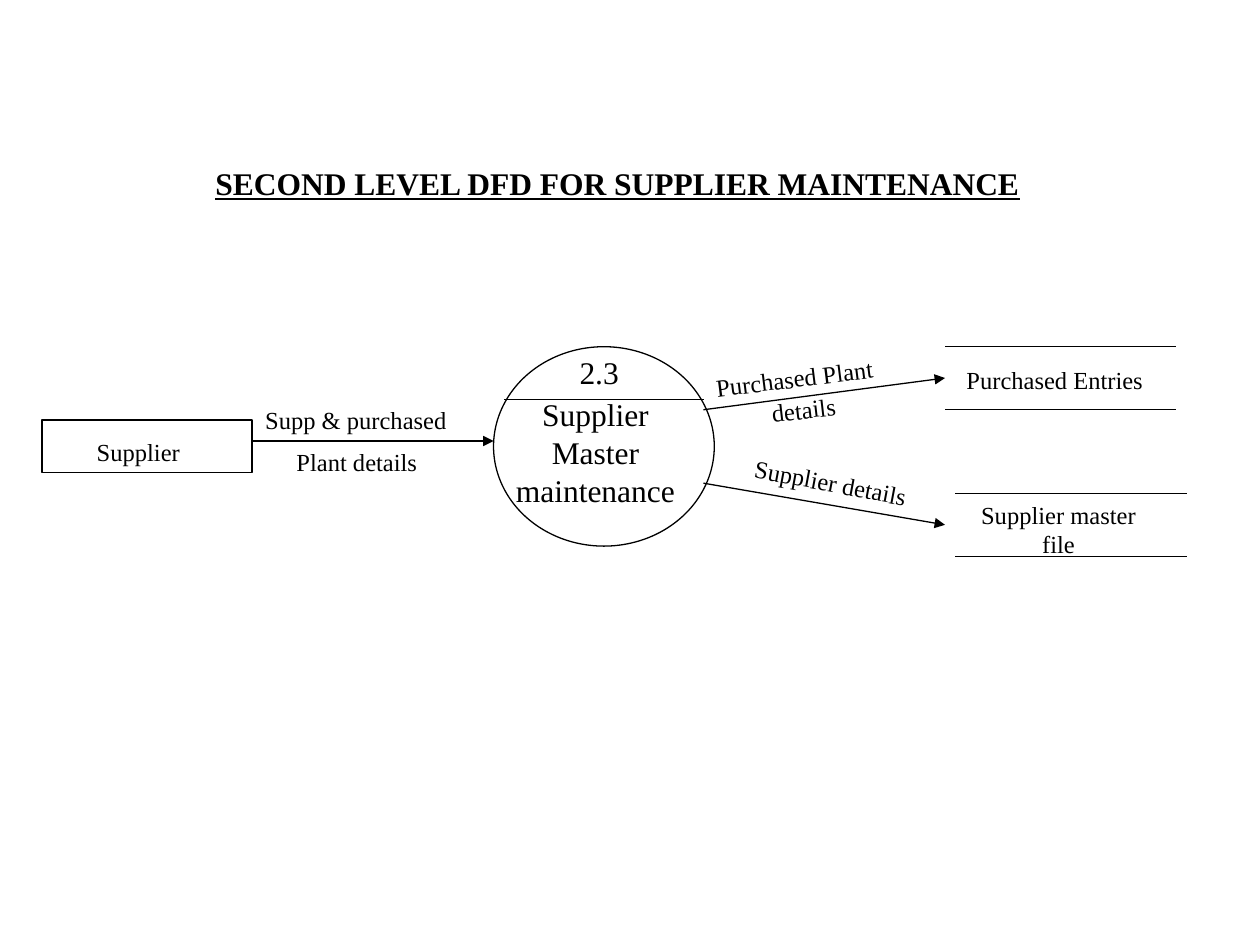
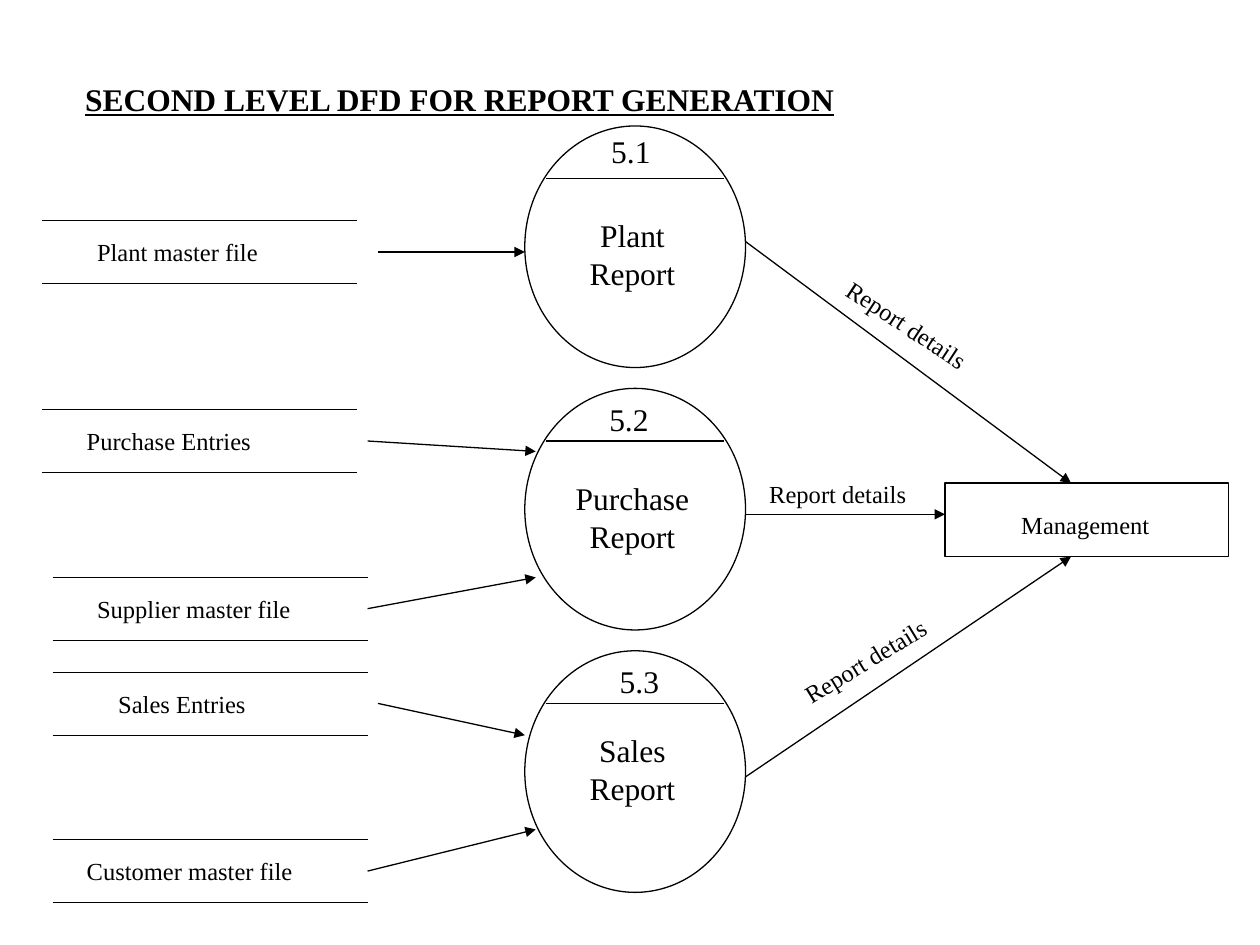
from pptx import Presentation
from pptx.dml.color import RGBColor
from pptx.enum.shapes import MSO_CONNECTOR as Connector, MSO_SHAPE as Shape
from pptx.enum.text import MSO_AUTO_SIZE as AutoSize, PP_ALIGN as Align
from pptx.oxml.ns import qn
from pptx.util import Cm, Pt
from lxml.etree import SubElement

BLACK = RGBColor(0, 0, 0)
FONT = "Times New Roman"
TITLE_SIZE, LABEL_SIZE = 18, 14
LINE_WIDTH = Pt(0.75)
TEXT_SLACK = 0.2
STORE_HEIGHT = 1.27
STORE_MIDDLE = 0.63
NUMBER_BAND = 1.06
PROCESS_WIDTH = 4.45


class FlowDiagram:
    """Draws data flow diagrams in one black outline style, lengths in centimetres."""

    def __init__(self):
        self.deck = Presentation()
        self.deck.slide_width, self.deck.slide_height = Cm(25.4), Cm(19.05)
        self.page = None

    def new_page(self, title, left, top, width):
        self.page = self.deck.slides.add_slide(self.deck.slide_layouts[6])
        self.text(title, left, top, width, TITLE_SIZE, heading=True)

    def text(self, words, left, top, width, size=LABEL_SIZE, angle=0, heading=False):
        lines = words.split("\n")
        height = 0.25 + len(lines) * size * 0.0425
        box = self.page.shapes.add_textbox(
            Cm(left - TEXT_SLACK), Cm(top), Cm(width + 2 * TEXT_SLACK), Cm(height))
        box.rotation = angle
        frame = box.text_frame
        frame.word_wrap = False
        frame.auto_size = AutoSize.NONE
        frame.text = words
        for para in frame.paragraphs:
            para.alignment = Align.CENTER
            para.font.name, para.font.size = FONT, Pt(size)
            para.font.color.rgb = BLACK
            if heading:
                para.font.bold = para.font.underline = True

    def outline(self, kind, left, top, width, height):
        shape = self.page.shapes.add_shape(kind, Cm(left), Cm(top), Cm(width), Cm(height))
        shape.shadow.inherit = False
        shape.fill.background()
        shape.line.color.rgb = BLACK
        shape.line.width = LINE_WIDTH

    def line(self, start_x, start_y, end_x, end_y, arrow=False):
        line = self.page.shapes.add_connector(
            Connector.STRAIGHT, Cm(start_x), Cm(start_y), Cm(end_x), Cm(end_y))
        line.line.color.rgb = BLACK
        line.line.width = LINE_WIDTH
        properties = line._element.spPr
        if arrow:
            SubElement(properties.get_or_add_ln(), qn("a:tailEnd"), type="triangle")
        SubElement(properties, qn("a:effectLst"))

    def arrow(self, start_x, start_y, end_x, end_y):
        self.line(start_x, start_y, end_x, end_y, arrow=True)

    def process(self, left, top, height, inset):
        self.outline(Shape.OVAL, left, top, PROCESS_WIDTH, height)
        divider = top + NUMBER_BAND
        self.line(left + inset, divider, left + PROCESS_WIDTH - inset, divider)

    def store(self, left, top, width):
        for edge in (top, top + STORE_HEIGHT):
            self.line(left, edge, left + width, edge)


def draw_supplier_maintenance(diagram):
    diagram.new_page("SECOND LEVEL DFD FOR SUPPLIER MAINTENANCE", 4.08, 3.18, 16.74)
    diagram.outline(Shape.RECTANGLE, 0.85, 8.47, 4.23, 1.06)
    diagram.text("Supplier", 1.7, 8.68, 2.18)

    diagram.process(9.95, 6.99, 4.02, 0.21)
    diagram.text("2.3", 11.43, 6.99, 1.3, TITLE_SIZE)
    diagram.text("Supplier\nMaster\nmaintenance", 10.15, 7.84, 3.71, TITLE_SIZE)

    for left, top in ((19.05, 6.99), (19.26, 9.95)):
        diagram.store(left, top, 4.66)
    diagram.text("Purchased Entries", 19.17, 7.24, 4.19)
    diagram.text("Supplier master\nfile", 19.41, 9.95, 3.86)

    diagram.arrow(5.08, 8.89, 9.95, 8.89)
    diagram.arrow(14.18, 8.26, 19.05, 7.62)
    diagram.arrow(14.18, 9.74, 19.05, 10.58)
    for words, left, top, width, angle in (
            ("Supp & purchased", 5.09, 8.04, 4.17, 0),
            ("Plant details", 5.72, 8.89, 2.95, 0),
            ("Purchased Plant", 14.11, 7.2, 3.81, -7.2),
            ("details", 15.3, 7.83, 1.8, -6.6),
            ("Supplier details", 14.94, 9.3, 3.61, 10.7)):
        diagram.text(words, left, top, width, angle=angle)


def draw_report_generation(diagram):
    diagram.new_page("SECOND LEVEL DFD FOR REPORT GENERATION", 1.41, 1.49, 15.72)
    stores = (
        ("Plant master file", 0.85, 4.45, 1.7, 3.76, (7.62, 10.58, 5.08)),
        ("Purchase Entries", 0.85, 8.26, 1.5, 3.81, (7.41, 10.8, 9.1)),
        ("Supplier master file", 1.06, 11.64, 1.7, 4.42, (7.41, 10.8, 11.64)),
        ("Sales Entries", 1.06, 13.55, 2.07, 3.2, (7.62, 10.58, 14.82)),
        ("Customer master file", 1.06, 16.93, 1.5, 4.65, (7.41, 10.8, 16.72)))
    for words, left, top, text_left, text_width, (start_x, end_x, end_y) in stores:
        diagram.store(left, top, 6.35)
        diagram.text(words, text_left, top + 0.21, text_width)
        diagram.arrow(start_x, top + STORE_MIDDLE, end_x, end_y)

    processes = (
        ("5.1", 12.07, 2.54, "Plant\nReport", 4.24),
        ("5.2", 12.03, 7.94, "Purchase\nReport", 9.53),
        ("5.3", 12.24, 13.23, "Sales\nReport", 14.61))
    for row, (number, number_left, number_top, name, name_top) in enumerate(processes):
        diagram.process(10.58, 2.54 + 5.29 * row, 4.87, 0.43)
        diagram.text(number, number_left, number_top, 1.3, TITLE_SIZE)
        diagram.text(name, 11.2, name_top, 3.1, TITLE_SIZE)

    diagram.outline(Shape.RECTANGLE, 19.05, 9.74, 5.72, 1.48)
    diagram.text("Management", 20.33, 10.16, 3.1)
    reports = (
        (4.87, 21.59, 9.74, 16.64, 6.12, 33.3),
        (10.37, 19.05, 10.37, 15.25, 9.53, 0),
        (15.66, 21.59, 11.22, 15.8, 12.9, -31.3))
    for start_y, end_x, end_y, left, top, angle in reports:
        diagram.arrow(15.03, start_y, end_x, end_y)
        diagram.text("Report details", left, top, 3.28, angle=angle)


def main():
    diagram = FlowDiagram()
    draw_supplier_maintenance(diagram)
    draw_report_generation(diagram)
    diagram.deck.save("out.pptx")


if __name__ == "__main__":
    main()
